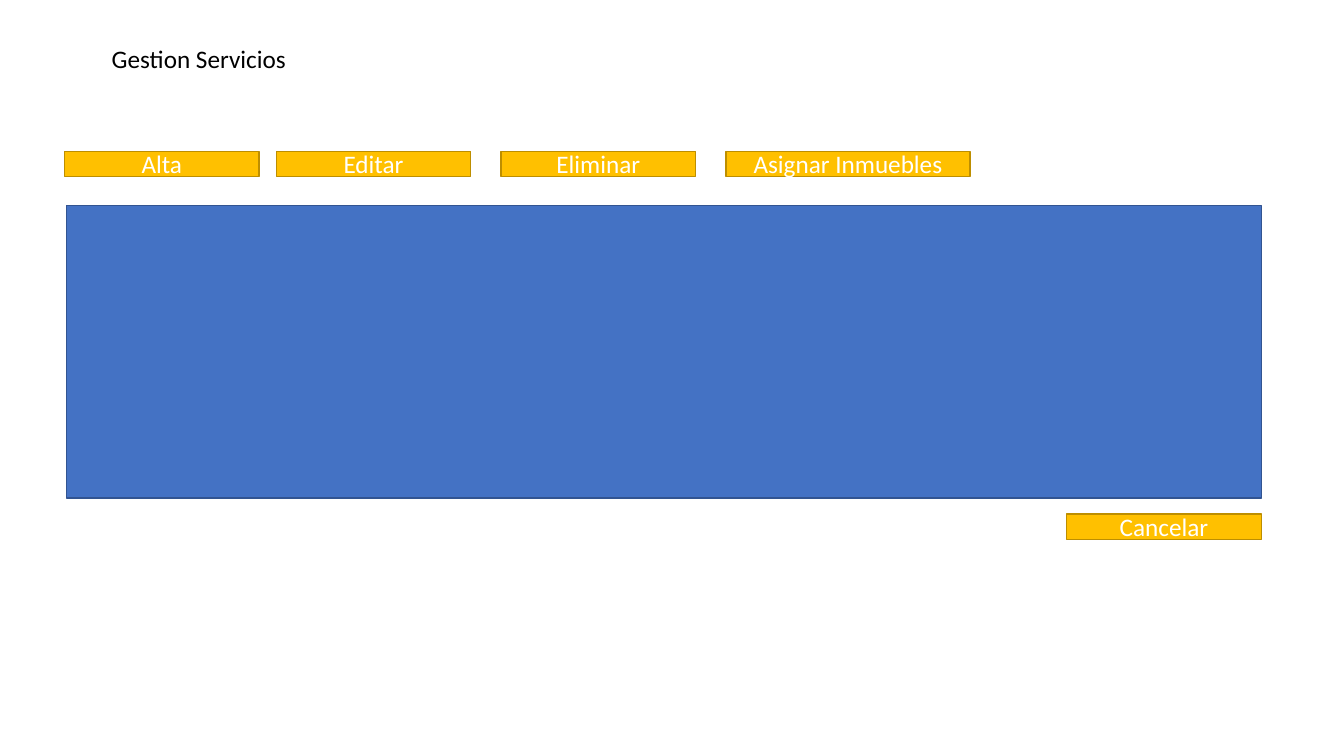
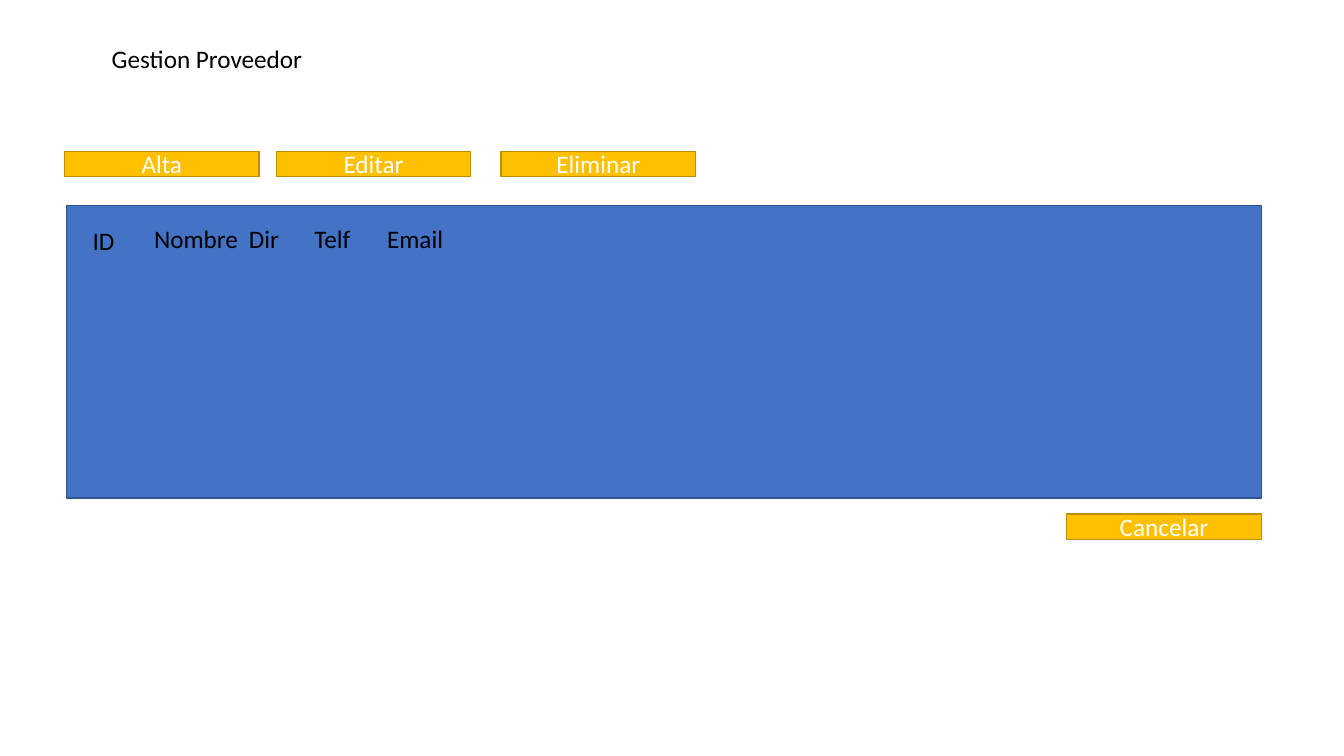
from pptx import Presentation
from pptx.dml.color import RGBColor as RGB
from pptx.enum.shapes import MSO_SHAPE as Shape
from pptx.enum.text import MSO_ANCHOR as Anchor, MSO_AUTO_SIZE as Fit, PP_ALIGN as Align
from pptx.util import Inches, Pt

HUES = {
    "panel": "4472C4", "panel edge": "325491",
    "button": "FFC000", "button edge": "BD8E00",
    "light": "FFFFFF", "dark": "000000",
}
FONT = "Calibri"
WIDE, HIGH = 1.93, 0.25
ROW = 1.5

# Label, left, width
TOOLS = [("Alta", 0.64, WIDE), ("Editar", 2.74, WIDE), ("Eliminar", 4.97, WIDE)]
ASSIGN = ("Asignar Inmuebles", 7.2, 2.42)

# Label, left, top, width
HEADS = [
    ("ID ", 0.82, 2.19, 0.48),
    ("Nombre ", 1.43, 2.17, 1.1),
    ("Dir ", 2.37, 2.17, 0.56),
    ("Telf ", 3.02, 2.17, 0.62),
    ("Email ", 3.74, 2.17, 0.82),
]


def hue(name):
    """Return the named colour."""
    return RGB.from_string(HUES[name])


def write(para, text, tint):
    """Add one run in the shared text style."""
    run = para.add_run()
    run.text = text
    run.font.name = FONT
    run.font.size = Pt(18)
    run.font.color.rgb = hue(tint)


def add_box(slide, left, top, width, height, kind):
    """Add a flat rectangle with the fill and edge of its kind."""
    box = slide.shapes.add_shape(
        Shape.RECTANGLE, Inches(left), Inches(top), Inches(width), Inches(height))
    box.shadow.inherit = False
    box.fill.solid()
    box.fill.fore_color.rgb = hue(kind)
    box.line.color.rgb = hue(kind + " edge")
    box.line.width = Pt(1)
    return box


def add_button(slide, text, left, width=WIDE, top=ROW):
    """Add a button with a centred label."""
    frame = add_box(slide, left, top, width, HIGH, "button").text_frame
    frame.vertical_anchor = Anchor.MIDDLE
    para = frame.paragraphs[0]
    para.alignment = Align.CENTER
    write(para, text, "light")


def add_label(slide, text, left, top, width):
    """Add a line of dark text that does not wrap."""
    box = slide.shapes.add_textbox(
        Inches(left), Inches(top), Inches(width), Inches(0.4))
    frame = box.text_frame
    frame.word_wrap = False
    frame.auto_size = Fit.SHAPE_TO_FIT_TEXT
    write(frame.paragraphs[0], text, "dark")


def add_screen(deck, title, width, tools, heads=()):
    """Add a screen: panel, buttons, title and column heads."""
    slide = deck.slides.add_slide(deck.slide_layouts[6])
    add_box(slide, 0.66, 2.04, 11.85, 2.9, "panel")
    for tool in tools:
        add_button(slide, *tool)
    add_button(slide, "Cancelar", 10.58, top=5.1)
    add_label(slide, title, 1.01, 0.38, width)
    for head in heads:
        add_label(slide, *head)


def main():
    """Build and save the deck."""
    deck = Presentation()
    deck.slide_width, deck.slide_height = Inches(13.33), Inches(7.5)
    add_screen(deck, "Gestion Servicios", 1.95, TOOLS + [ASSIGN])
    add_screen(deck, "Gestion Proveedor", 2.11, TOOLS, HEADS)
    deck.save("out.pptx")


main()
